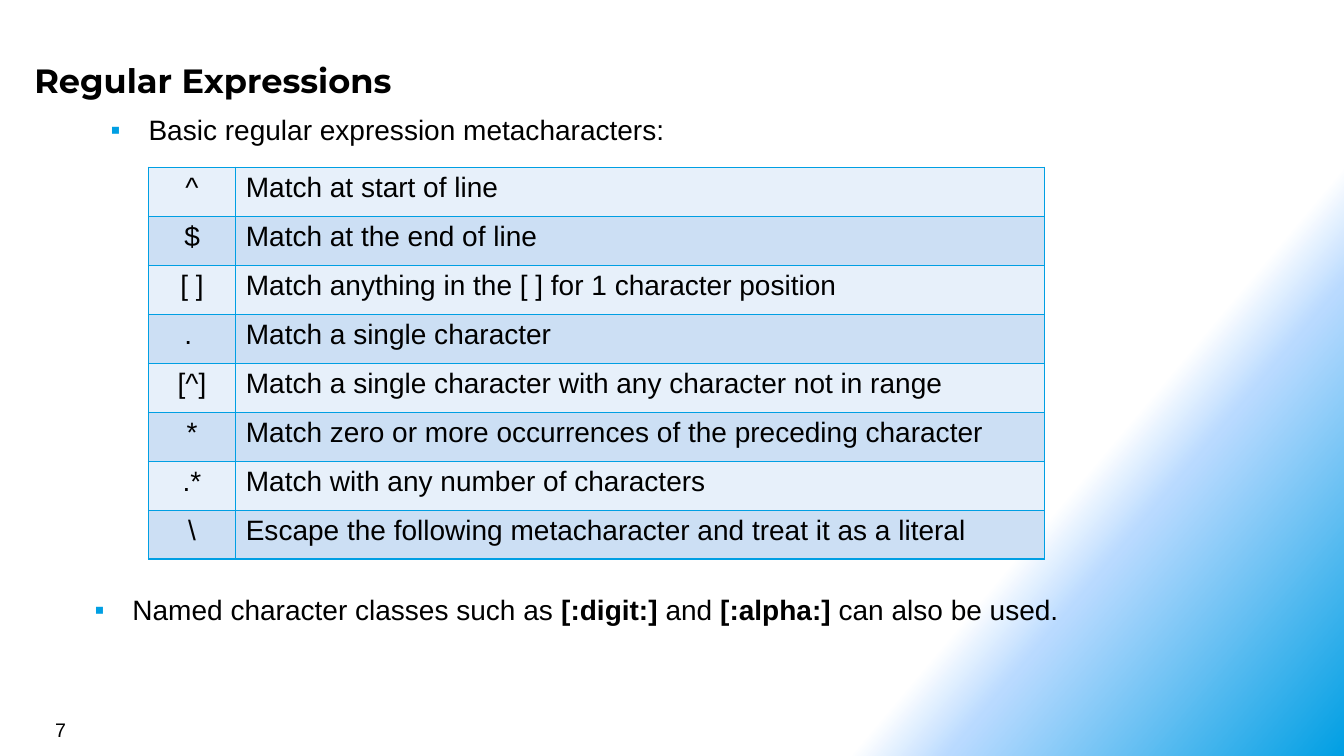
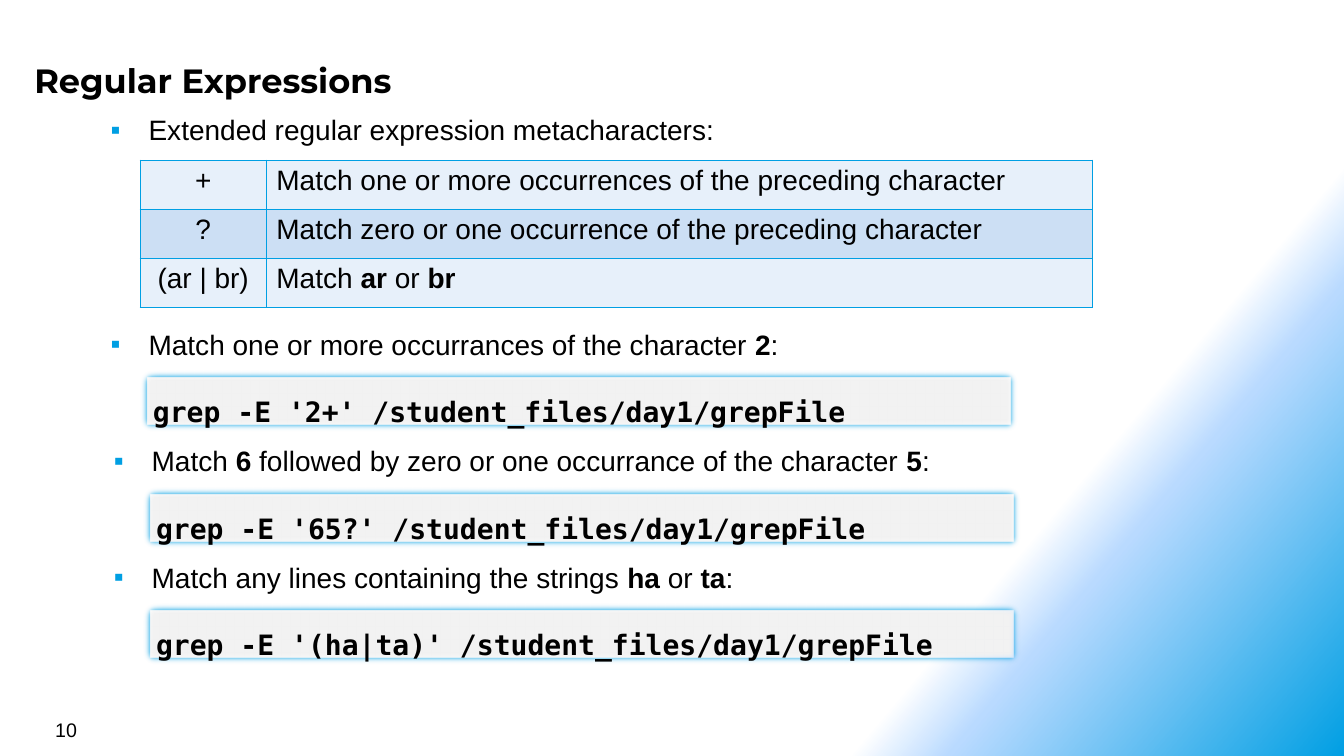
import pptx
import pptx.util
import pptx.dml.color
import pptx.enum.shapes
import pptx.enum.text
import pptx.oxml
import pptx.oxml.ns

Pt = pptx.util.Pt
RGBColor = pptx.dml.color.RGBColor
Align = pptx.enum.text.PP_ALIGN
Anchor = pptx.enum.text.MSO_ANCHOR
qn = pptx.oxml.ns.qn
NS = pptx.oxml.ns.nsdecls("a")

BLACK = RGBColor(0x00, 0x00, 0x00)
WHITE = RGBColor(0xFF, 0xFF, 0xFF)
CYAN = RGBColor(0x00, 0x9F, 0xE3)
SKY = RGBColor(0xB9, 0xDA, 0xFF)
PALE_BLUE = RGBColor(0xE7, 0xF0, 0xFA)
SOFT_BLUE = RGBColor(0xCC, 0xDF, 0xF4)
CODE_GREY = RGBColor(0xF2, 0xF2, 0xF2)

BODY_FONT = "Arial"
TITLE_FONT = "Montserrat"
CODE_FONT = "DejaVu Sans Mono"
BODY_SIZE = 20
HANG = 27

BASIC_ROWS = [
    ("^", ["Match at start of line"]),
    ("$", ["Match at the end of line"]),
    ("[ ]", ["Match anything in the [ ] for 1 character position"]),
    (". ", ["Match a single character"]),
    ("[^]", ["Match a single character with any character not in range"]),
    ("*", ["Match zero or more occurrences of the preceding character"]),
    (".*", ["Match with any number of characters"]),
    ("\\", ["Escape the following metacharacter and treat it as a literal"]),
]
EXTENDED_ROWS = [
    ("+", ["Match one or more occurrences of the preceding character"]),
    ("?", ["Match zero or one occurrence of the preceding character"]),
    ("(ar | br)", ["Match ", "ar", " or ", "br"]),
]
GREP_EXAMPLES = [
    (72, ["Match one or more occurrances of the character ", "2", ":"],
     "grep -E '2+' /student_files/day1/grepFile"),
    (74.2, ["Match ", "6", " followed by zero or one occurrance of the character ", "5", ":"],
     "grep -E '65?' /student_files/day1/grepFile"),
    (74.2, ["Match any lines containing the strings ", "ha ", "or", " ta", ":"],
     "grep -E '(ha|ta)' /student_files/day1/grepFile"),
]


def append_xml(parent, xml):
    parent.append(pptx.oxml.parse_xml(xml))


def paint_background(master):
    fill = master.background.fill
    fill.gradient()
    fill.gradient_angle = 320
    stops = master.element.find(".//" + qn("a:gsLst"))
    for stop in list(stops):
        stops.remove(stop)
    for percent, color, opacity in ((75, WHITE, 100), (80, SKY, 50), (100, CYAN, 100)):
        append_xml(stops, f'<a:gs {NS} pos="{percent * 1000}"><a:srgbClr val="{color}">'
                          f'<a:alpha val="{opacity * 1000}"/></a:srgbClr></a:gs>')


def add_runs(paragraph, pieces, font=BODY_FONT, size=BODY_SIZE, all_bold=False):
    for index, piece in enumerate(pieces):
        run = paragraph.add_run()
        run.text = piece
        run.font.name = font
        run.font.size = Pt(size)
        run.font.bold = all_bold or index % 2 == 1
        run.font.color.rgb = BLACK


def add_text(slide, left, top, width, height):
    frame = slide.shapes.add_textbox(Pt(left), Pt(top), Pt(width), Pt(height)).text_frame
    frame.word_wrap = True
    frame.vertical_anchor = Anchor.TOP
    return frame


def add_bullet(slide, left, top, width, height, pieces):
    paragraph = add_text(slide, left, top, width, height).paragraphs[0]
    properties = paragraph._p.get_or_add_pPr()
    properties.set("marL", str(Pt(HANG)))
    properties.set("indent", str(-Pt(HANG)))
    append_xml(properties, f'<a:buClr {NS}><a:srgbClr val="{CYAN}"/></a:buClr>')
    append_xml(properties, f'<a:buFont {NS} typeface="{BODY_FONT}"/>')
    append_xml(properties, f'<a:buChar {NS} char="▪"/>')
    paragraph.space_after = Pt(12)
    add_runs(paragraph, pieces)


def add_border(cell):
    properties = cell._tc.get_or_add_tcPr()
    for index, side in enumerate(("lnL", "lnR", "lnT", "lnB")):
        properties.insert(index, pptx.oxml.parse_xml(
            f'<a:{side} {NS} w="{Pt(1)}"><a:solidFill><a:srgbClr val="{CYAN}"/>'
            f'</a:solidFill></a:{side}>'))


def add_metacharacters(slide, left, top, widths, rows):
    row_height = 35
    table = slide.shapes.add_table(len(rows), 2, Pt(left), Pt(top),
                                   Pt(sum(widths)), Pt(row_height * len(rows))).table
    table.first_row = False
    table.horz_banding = False
    for column, width in zip(table.columns, widths):
        column.width = Pt(width)
    for index, (symbol, meaning) in enumerate(rows):
        table.rows[index].height = Pt(row_height)
        for column, pieces in enumerate(([symbol], meaning)):
            cell = table.cell(index, column)
            cell.fill.solid()
            cell.fill.fore_color.rgb = SOFT_BLUE if index % 2 else PALE_BLUE
            add_border(cell)
            paragraph = cell.text_frame.paragraphs[0]
            paragraph.alignment = Align.LEFT if column else Align.CENTER
            add_runs(paragraph, pieces)


def add_command(slide, left, top, width, height, command):
    panel = slide.shapes.add_shape(pptx.enum.shapes.MSO_SHAPE.RECTANGLE,
                                   Pt(left), Pt(top), Pt(width), Pt(height))
    panel.fill.solid()
    panel.fill.fore_color.rgb = CODE_GREY
    panel.line.color.rgb = CYAN
    panel.line.width = Pt(6)
    panel.shadow.inherit = False
    effects = panel._element.spPr.find(qn("a:effectLst"))
    append_xml(effects, f'<a:softEdge {NS} rad="{Pt(5)}"/>')
    frame = panel.text_frame
    frame.word_wrap = True
    frame.vertical_anchor = Anchor.TOP
    paragraph = frame.paragraphs[0]
    paragraph.alignment = Align.LEFT
    paragraph.line_spacing = 1.5
    add_runs(paragraph, [command], CODE_FONT, all_bold=True)


def add_example(slide, left, top, pieces, command):
    add_bullet(slide, left, top, 686, 36, pieces)
    add_command(slide, left + 30.2, top + 36, 622, 39.6, command)


def start_slide(deck, number, intro):
    slide = deck.slides.add_slide(deck.slide_layouts[6])
    add_bullet(slide, 72, 77, 816, 39.6, [intro])
    title = add_text(slide, 18.7, 36.7, 883, 39.6)
    title.margin_left = title.margin_right = Pt(5.8)
    title.margin_top = title.margin_bottom = Pt(5.8)
    add_runs(title.paragraphs[0], ["Regular Expressions"], TITLE_FONT, 24, True)
    page = add_text(slide, 32.4, 509, 224, 23.8)
    add_runs(page.paragraphs[0], [number], size=14)
    return slide


def build_basic(deck):
    slide = start_slide(deck, "7", "Basic regular expression metacharacters:")
    add_metacharacters(slide, 106, 119.5, (62.4, 578), BASIC_ROWS)
    add_bullet(slide, 60.5, 419.8, 816, 39.6,
               ["Named character classes such as ", "[:digit:] ", "and ",
                "[:alpha:] ", "can also be used."])


def build_extended(deck):
    slide = start_slide(deck, "10", "Extended regular expression metacharacters:")
    add_metacharacters(slide, 100.2, 114.5, (90, 590), EXTENDED_ROWS)
    for index, (left, pieces, command) in enumerate(GREP_EXAMPLES):
        add_example(slide, left, 230.4 + index * 83.2, pieces, command)


def main():
    deck = pptx.Presentation()
    deck.slide_width = Pt(960)
    deck.slide_height = Pt(540)
    paint_background(deck.slide_master)
    build_basic(deck)
    build_extended(deck)
    deck.save("out.pptx")


if __name__ == "__main__":
    main()
